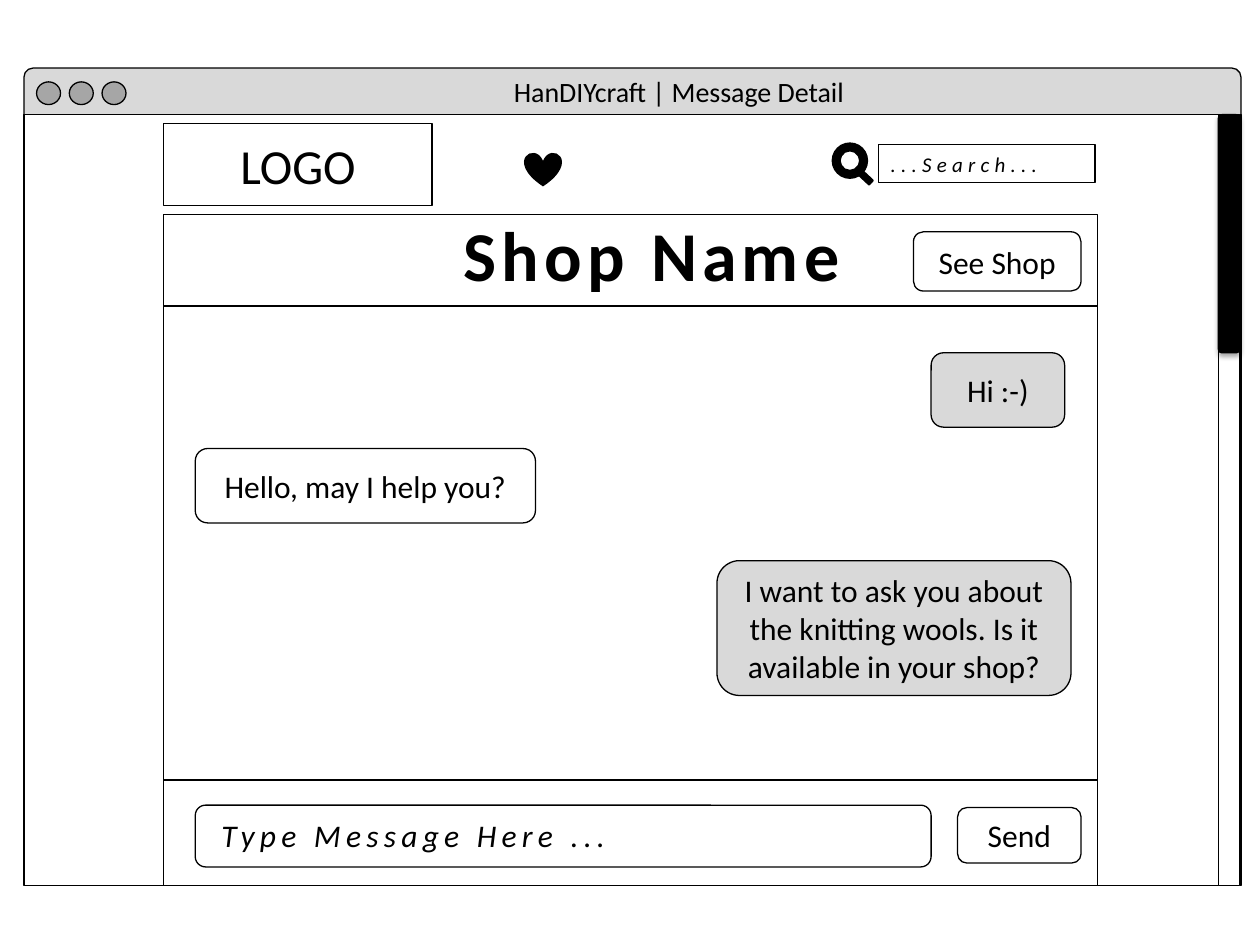
from lxml.etree import SubElement
from pptx import Presentation
from pptx.dml.color import RGBColor
from pptx.enum.shapes import MSO_CONNECTOR, MSO_SHAPE as Preset
from pptx.enum.text import MSO_ANCHOR as Anchor, MSO_AUTO_SIZE as AutoSize, PP_ALIGN as Align
from pptx.oxml.ns import qn
from pptx.util import Inches, Pt

COLORS = {"black": "000000", "white": "FFFFFF", "bubble": "D9D9D9", "button": "A6A6A6"}
FONT = "Calibri"

# Browser window and the page column inside it
WINDOW_LEFT, WINDOW_TOP, WINDOW_WIDTH, WINDOW_BOTTOM = 0.19, 0.91, 9.66, 7.03
WINDOW_HEIGHT = WINDOW_BOTTOM - WINDOW_TOP
BAR_TOP = 0.54
PAGE_LEFT, PAGE_TOP, PAGE_WIDTH = 1.3, 1.7, 7.41
PAGE_RIGHT = PAGE_LEFT + PAGE_WIDTH
HEADER_BOTTOM, COMPOSER_TOP = 2.43, 6.19
MESSAGE_LEFT = PAGE_LEFT + 0.25
BUTTON_RIGHT = PAGE_RIGHT - 0.13
SCROLL_WIDTH = 0.17
SCROLL_LEFT = WINDOW_LEFT + WINDOW_WIDTH - SCROLL_WIDTH - 0.01

RECT, ROUND = Preset.RECTANGLE, Preset.ROUNDED_RECTANGLE

# preset, (left, top, width, height), fill, outlined
FRAME = [
    (ROUND, (WINDOW_LEFT, BAR_TOP, WINDOW_WIDTH, 0.44), "bubble", True),
    (RECT, (WINDOW_LEFT, WINDOW_TOP, WINDOW_WIDTH, WINDOW_HEIGHT), "white", True),
    *[(Preset.OVAL, (0.29 + 0.26 * i, 0.65, 0.19, 0.18), "button", True) for i in range(3)],
    (RECT, (PAGE_LEFT, PAGE_TOP, PAGE_WIDTH, WINDOW_BOTTOM - PAGE_TOP), "white", True),
    (RECT, (SCROLL_LEFT, WINDOW_TOP, SCROLL_WIDTH, WINDOW_HEIGHT), "white", True),
]
SCROLL_THUMB = (ROUND, (SCROLL_LEFT, WINDOW_TOP, SCROLL_WIDTH, 1.89), "black", True)
ICONS = [
    (ROUND, (6.96, 1.18, 1.75, 0.38), "white", False),
    (Preset.DONUT, (6.6, 1.13, 0.29, 0.29), "black", False),
    (Preset.HEART, (4.16, 1.21, 0.3, 0.27), "black", False),
]
SEARCH_HANDLE = (ROUND, (6.78, 1.37, 0.16, 0.06), "black", False)
COMPOSER = [
    (RECT, (PAGE_LEFT, COMPOSER_TOP, PAGE_WIDTH, WINDOW_BOTTOM - COMPOSER_TOP), "white", True),
    (ROUND, (MESSAGE_LEFT, 6.39, 5.84, 0.49), "white", True),
]

# text, preset, (left, top, width, height), fill, size
LABELLED = [
    ("LOGO", RECT, (PAGE_LEFT, 0.98, 2.13, 0.65), "white", 28),
    ("See Shop", ROUND, (BUTTON_RIGHT - 1.33, 1.84, 1.33, 0.47), None, 18),
    ("Send", ROUND, (BUTTON_RIGHT - 0.98, 6.41, 0.98, 0.44), "white", 18),
    ("Hello, may I help you?", ROUND, (MESSAGE_LEFT, 3.56, 2.7, 0.59), "white", 18),
    ("Hi :-)", ROUND, (7.39, 2.8, 1.06, 0.59), "bubble", 18),
    ("I want to ask you about the knitting wools. Is it available in your shop?",
     ROUND, (5.69, 4.45, 2.81, 1.07), "bubble", 18),
]
SEARCH_FIELD = ("...Search...", (6.97, 1.15, 1.72, 0.3), {"size": Pt(12), "italic": True}, 3)
WINDOW_TITLE = ("HanDIYcraft | Message Detail", (3.98, BAR_TOP, 3.27, 0.37), {"size": Pt(16)}, 0)
MESSAGE_HINT = ("Type Message Here ...", (1.66, 6.43, 3.47, 0.4), {"size": Pt(18), "italic": True}, 3)
SHOP_TITLE = ("Shop Name", (3.58, 1.63, 3.25, 0.77), {"size": Pt(40), "bold": True}, 3)


def color(name):
    return RGBColor.from_string(COLORS[name])


def inches(box):
    return [Inches(value) for value in box]


def add_shape(slide, preset, box, fill, outlined):
    shape = slide.shapes.add_shape(preset, *inches(box))
    shape.shadow.inherit = False
    if fill:
        shape.fill.solid()
        shape.fill.fore_color.rgb = color(fill)
    else:
        shape.fill.background()
    if outlined:
        shape.line.color.rgb = color("black")
        shape.line.width = Pt(0.75)
    else:
        shape.line.fill.background()
    return shape


def write(shape, text, font, spacing=0, align=Align.LEFT, anchor=Anchor.TOP):
    """Fill the shape with one run; spacing is the letter spacing in points."""
    frame = shape.text_frame
    frame.word_wrap, frame.vertical_anchor = True, anchor
    frame.auto_size = AutoSize.NONE
    paragraph = frame.paragraphs[0]
    paragraph.alignment = align
    run = paragraph.add_run()
    run.text = text
    for name, value in {"name": FONT, **font}.items():
        setattr(run.font, name, value)
    run.font.color.rgb = color("black")
    if spacing:
        run._r.get_or_add_rPr().set("spc", str(spacing * 100))


def add_text(slide, text, box, font, spacing):
    write(slide.shapes.add_textbox(*inches(box)), text, font, spacing)


def add_soft_shadow(shape):
    effects = shape._element.spPr.find(qn("a:effectLst"))
    shadow = SubElement(effects, qn("a:outerShdw"), blurRad=str(Pt(3.1)), dist=str(Pt(1.8)),
                        dir="5400000", rotWithShape="0")
    black = SubElement(shadow, qn("a:srgbClr"), val=COLORS["black"])
    SubElement(black, qn("a:alpha"), val="35000")


def add_header_rule(slide):
    rule = slide.shapes.add_connector(
        MSO_CONNECTOR.STRAIGHT, *inches((PAGE_LEFT, HEADER_BOTTOM, PAGE_RIGHT, HEADER_BOTTOM)))
    rule.line.color.rgb = color("black")
    rule.line.width = Pt(1)
    SubElement(rule._element.spPr, qn("a:effectLst"))


def place_title(slide, text, box, font, spacing):
    """Format the title placeholder and lift it above the page panel."""
    title = slide.shapes.title
    title.left, title.top, title.width, title.height = inches(box)
    write(title, text, font, spacing)
    slide.shapes._spTree.append(title._element)


def main():
    presentation = Presentation()
    presentation.slide_width, presentation.slide_height = Inches(10), Inches(7.5)
    slide = presentation.slides.add_slide(presentation.slide_layouts[5])

    for item in FRAME:
        add_shape(slide, *item)
    add_soft_shadow(add_shape(slide, *SCROLL_THUMB))
    for item in ICONS:
        add_shape(slide, *item)
    add_shape(slide, *SEARCH_HANDLE).rotation = 43.1
    text, box, font, spacing = SEARCH_FIELD
    write(add_shape(slide, RECT, box, None, True), text, font, spacing)
    add_text(slide, *WINDOW_TITLE)
    place_title(slide, *SHOP_TITLE)
    add_header_rule(slide)
    for item in COMPOSER:
        add_shape(slide, *item)
    add_text(slide, *MESSAGE_HINT)
    for text, preset, box, fill, size in LABELLED:
        shape = add_shape(slide, preset, box, fill, True)
        write(shape, text, {"size": Pt(size)}, align=Align.CENTER, anchor=Anchor.MIDDLE)

    presentation.save("out.pptx")


if __name__ == "__main__":
    main()
